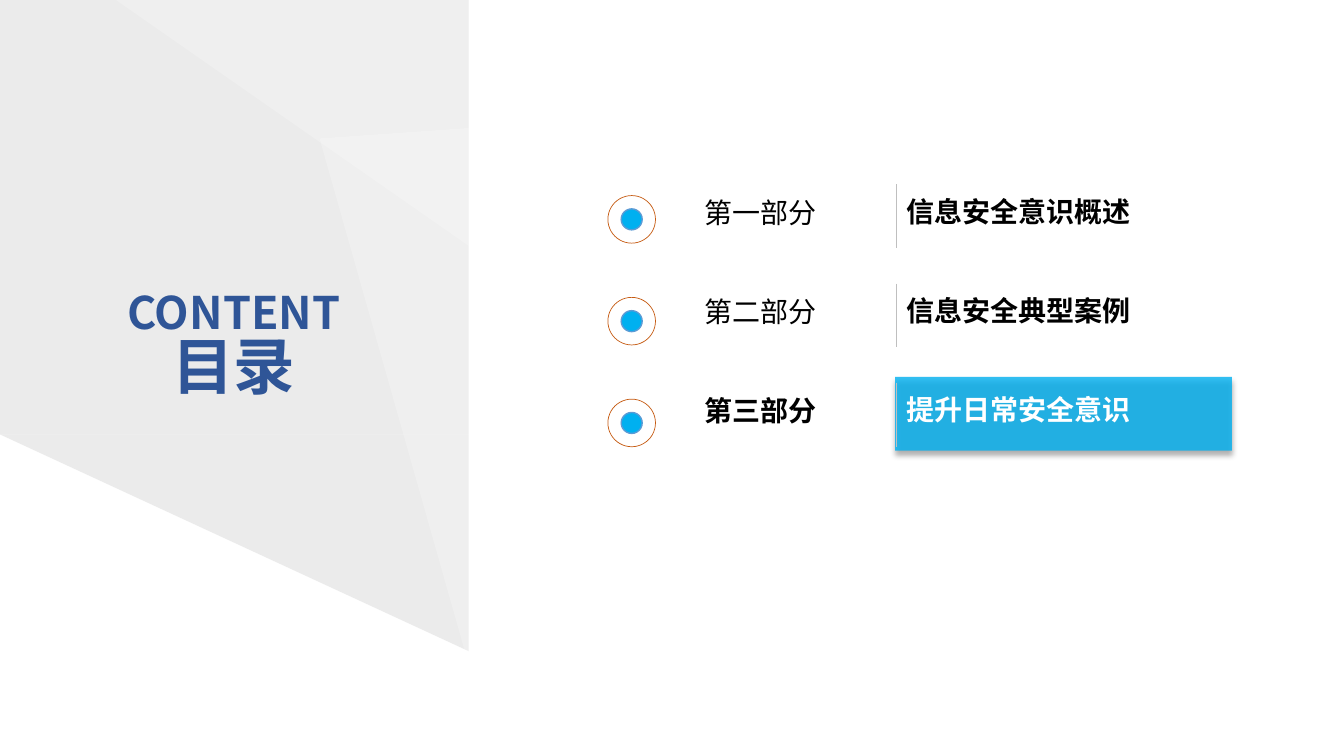
import pptx
import pptx.dml.color
import pptx.enum.shapes
import pptx.enum.text
import pptx.oxml
import pptx.oxml.ns
import pptx.util
from dataclasses import dataclass
from lxml import etree
from typing import Any

Pt = pptx.util.Pt
qn = pptx.oxml.ns.qn
Color = pptx.dml.color.RGBColor
Kind = pptx.enum.shapes.MSO_SHAPE
Align = pptx.enum.text.PP_ALIGN

CYAN = Color(0x00, 0xB0, 0xF0)
GREY = Color(0xD9, 0xD9, 0xD9)
WHITE = Color(0xFF, 0xFF, 0xFF)
BLACK = Color(0x00, 0x00, 0x00)
NAVY = Color(0x2F, 0x55, 0x97)
RUST = Color(0xC5, 0x5A, 0x11)
BLUE = Color(0x5B, 0x9B, 0xD5)
RULE = Color(0xBF, 0xBF, 0xBF)
FONT = "Noto Sans CJK SC"

TOP, STEP = 139.2, 70.8
RING, DOT = 34, 15


@dataclass
class Facet:
    kind: Any
    left: float
    top: float
    width: float
    height: float
    fill: Color
    alpha: int
    turn: float = 0


@dataclass
class Line:
    text: str
    size: float
    color: Color
    bold: bool
    align: Any = Align.LEFT


@dataclass
class Part:
    label: str
    topic: str
    active: bool = False


FACETS = [
    Facet(Kind.RECTANGLE, 0, 0, 334.8, 310.3, GREY, 50),
    Facet(Kind.RIGHT_TRIANGLE, 0, 310.3, 334.8, 154.8, GREY, 50, 180),
    Facet(Kind.ISOSCELES_TRIANGLE, 242.6, 92.2, 175.7, 419.8, WHITE, 20, 176),
    Facet(Kind.RIGHT_TRIANGLE, 82.8, 0, 252, 175.7, WHITE, 20, 180),
]
PARTS = [
    Part("第一部分", "信息安全意识概述"),
    Part("第二部分", "信息安全典型案例"),
    Part("第三部分", "提升日常安全意识", True),
]
TITLE = [
    Line("CONTENT", 32, NAVY, True, Align.CENTER),
    Line("目录", 44, NAVY, True, Align.CENTER),
]


def apply(item: Any, values: dict) -> None:
    for name, value in values.items():
        setattr(item, name, value)


def draw_facet(shapes: Any, facet: Facet) -> Any:
    shape = shapes.add_shape(
        facet.kind, Pt(facet.left), Pt(facet.top), Pt(facet.width), Pt(facet.height))
    shape.rotation = facet.turn
    shape.shadow.inherit = False
    shape.line.fill.background()
    shape.fill.solid()
    shape.fill.fore_color.rgb = facet.fill
    tint = next(shape.element.iter(qn("a:srgbClr")))
    etree.SubElement(tint, qn("a:alpha"), val=str(facet.alpha * 1000))
    return shape


def add_shade(shape: Any) -> None:
    effects = next(shape.element.iter(qn("a:effectLst")))
    shade = etree.SubElement(
        effects, qn("a:outerShdw"), blurRad=str(Pt(4)), dist=str(Pt(3)),
        dir="5400000", algn="t", rotWithShape="0")
    tint = etree.SubElement(shade, qn("a:srgbClr"), val=str(BLACK))
    etree.SubElement(tint, qn("a:alpha"), val="40000")


def write(shape: Any, lines: list[Line]) -> None:
    frame = shape.text_frame
    apply(frame, {
        "word_wrap": True,
        "auto_size": pptx.enum.text.MSO_AUTO_SIZE.SHAPE_TO_FIT_TEXT,
        "vertical_anchor": pptx.enum.text.MSO_ANCHOR.TOP,
    })
    for index, line in enumerate(lines):
        para = frame.add_paragraph() if index else frame.paragraphs[0]
        apply(para, {"alignment": line.align, "line_spacing": 0.85, "space_before": Pt(0)})
        run = para.add_run()
        run.text = line.text
        apply(run.font, {"name": FONT, "size": Pt(line.size), "bold": line.bold})
        run.font.color.rgb = line.color
    for props in shape.element.iter(qn("a:rPr")):
        etree.SubElement(props, qn("a:ea"), typeface=FONT)


def draw_text(shapes: Any, left: float, top: float, width: float, line: Line) -> None:
    write(shapes.add_textbox(Pt(left), Pt(top), Pt(width), Pt(31.7)), [line])


def draw_disc(shapes: Any, left: float, top: float, size: float,
              fill: Color | None, edge: Color, width: float) -> None:
    disc = shapes.add_shape(Kind.OVAL, Pt(left), Pt(top), Pt(size), Pt(size))
    disc.shadow.inherit = False
    if fill is None:
        disc.fill.background()
    else:
        disc.fill.solid()
        disc.fill.fore_color.rgb = fill
    disc.line.color.rgb = edge
    disc.line.width = Pt(width)


def draw_mark(shapes: Any, left: float, top: float) -> None:
    group = shapes.add_group_shape().shapes
    inset = (RING - DOT) / 2
    draw_disc(group, left, top, RING, None, RUST, 0.5)
    draw_disc(group, left + inset, top + inset, DOT, CYAN, BLUE, 1)


def draw_rule(shapes: Any, left: float, top: float, height: float) -> None:
    rule = shapes.add_connector(
        pptx.enum.shapes.MSO_CONNECTOR.STRAIGHT,
        Pt(left), Pt(top), Pt(left), Pt(top + height))
    rule.line.color.rgb = RULE
    rule.line.width = Pt(1)
    etree.SubElement(rule.element.find(qn("p:spPr")), qn("a:effectLst"))


def draw_part(shapes: Any, index: int, part: Part) -> None:
    top = TOP + index * STEP
    ink = WHITE if part.active else BLACK
    draw_mark(shapes, 434.2, 139.7 + index * 72.7)
    draw_text(shapes, 640.4, top, 240, Line(part.topic, 20, ink, True))
    draw_rule(shapes, 640.4, top - 7.4, 45.6)
    draw_text(shapes, 496.1, top + 0.4, 131.8, Line(part.label, 20, BLACK, part.active))


def main() -> None:
    deck = pptx.Presentation()
    apply(deck, {"slide_width": Pt(960), "slide_height": Pt(540)})
    slide = deck.slides.add_slide(deck.slide_layouts[5])
    shapes = slide.shapes
    add_shade(draw_facet(shapes, Facet(
        Kind.RECTANGLE, 639.4, 269.3, 240.5, 52.6, CYAN, 80)))
    for facet in FACETS:
        draw_facet(shapes, facet)
    title = shapes.title
    apply(title, {"left": Pt(49.7), "top": Pt(205.9), "width": Pt(234.7), "height": Pt(99.4)})
    write(title, TITLE)
    shapes.element.append(title.element)
    for index, part in enumerate(PARTS):
        draw_part(shapes, index, part)
    deck.save("out.pptx")


if __name__ == "__main__":
    main()
